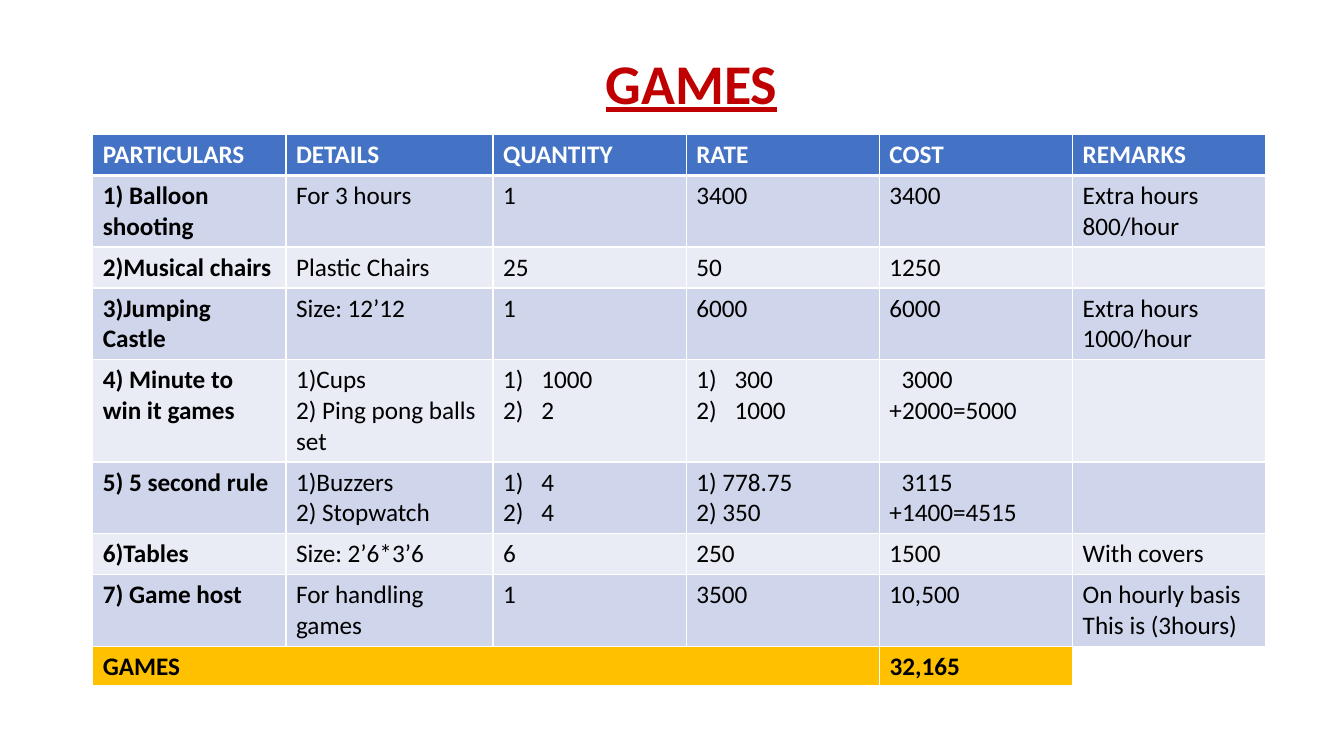
"""Build the GAMES budget slide: a title, a cost table and a total row."""
from dataclasses import dataclass

from pptx import Presentation
from pptx.dml.color import RGBColor
from pptx.enum.text import MSO_ANCHOR, PP_ALIGN
from pptx.oxml.ns import qn
from pptx.util import Emu, Inches, Pt
from lxml.etree import SubElement

RED = RGBColor(0xC0, 0x00, 0x00)
BLUE = RGBColor(0x44, 0x72, 0xC4)
BAND_DARK = RGBColor(0xCF, 0xD5, 0xEA)
BAND_LIGHT = RGBColor(0xE9, 0xEB, 0xF5)
GOLD = RGBColor(0xFF, 0xC0, 0x00)
WHITE = RGBColor(0xFF, 0xFF, 0xFF)
BLACK = RGBColor(0x00, 0x00, 0x00)

SLIDE_W, SLIDE_H = Inches(13.33), Inches(7.5)
LEFT, TOP = 6.9, 17.8
COL, DETAILS_COL = 14.38, 15.4
LINE, PAD = 4.07, 1.34


@dataclass(frozen=True)
class Cell:
    """Cell text, one paragraph a line, numbered or with its first line indented."""
    text: str = ""
    numbered: bool = False
    lead: float = 0


@dataclass(frozen=True)
class Row:
    """Table row: its cells and how many text lines it holds."""
    cells: tuple[Cell | str, ...]
    lines: int = 1

    @property
    def height(self) -> float:
        """Give the row height as a percentage of the slide height."""
        return PAD + LINE * self.lines


HEADER = Row(("PARTICULARS", "DETAILS", "QUANTITY", "RATE", "COST", "REMARKS"))
GAMES = (
    Row(("1) Balloon shooting", "For 3 hours", "1", "3400", "3400",
         "Extra hours 800/hour"), 2),
    Row(("2)Musical chairs", "Plastic Chairs", "25", "50", "1250", "")),
    Row(("3)Jumping Castle", "Size: 12’12", "1", "6000", "6000",
         "Extra hours\n1000/hour"), 2),
    Row(("4) Minute to win it games", "1)Cups\n2) Ping pong balls set",
         Cell("1000\n2", numbered=True), Cell("300\n1000", numbered=True),
         Cell("3000\n+2000=5000", lead=0.12), ""), 3),
    Row(("5) 5 second rule", "1)Buzzers\n2) Stopwatch", Cell("4\n4", numbered=True),
         "1) 778.75\n2) 350", Cell("3115\n+1400=4515", lead=0.12), ""), 2),
    Row(("6)Tables", "Size: 2’6*3’6", "6", "250", "1500", "With covers")),
    Row(("7) Game host", "For handling games", "1", "3500", "10,500",
         "On hourly basis\nThis is (3hours)"), 2),
)
COSTS = (HEADER, *GAMES)
TOTAL = Row(("GAMES", "32,165"))


def x(percent: float) -> Emu:
    """Turn a percentage of the slide width into a length."""
    return Emu(round(SLIDE_W * percent / 100))


def y(percent: float) -> Emu:
    """Turn a percentage of the slide height into a length."""
    return Emu(round(SLIDE_H * percent / 100))


def add_text(p, text: str, *, size: float = 18, color: RGBColor = BLACK,
             bold: bool = False, underline: bool = False) -> None:
    """Add one formatted run to a paragraph."""
    r = p.add_run()
    r.text = text
    r.font.name, r.font.size = "Calibri", Pt(size)
    r.font.bold, r.font.underline = bold, underline
    r.font.color.rgb = color


def set_indent(p, left: float, first: float) -> None:
    """Set the left margin and first-line indent in inches."""
    pPr = p._p.get_or_add_pPr()
    pPr.set("marL", str(Inches(left)))
    pPr.set("indent", str(Inches(first)))


def set_borders(cell, bottom: float) -> None:
    """Draw white cell borders, with the bottom one in its own width."""
    tcPr = cell._tc.get_or_add_tcPr()
    for side, width in (("L", 1), ("R", 1), ("T", 1), ("B", bottom)):
        ln = SubElement(tcPr, qn(f"a:ln{side}"), w=str(Pt(width)))
        SubElement(SubElement(ln, qn("a:solidFill")), qn("a:srgbClr"), val=str(WHITE))


def fill_cell(cell, content: Cell | str, *, fill: RGBColor, color: RGBColor,
              bold: bool, bottom: float) -> None:
    """Write and format one table cell."""
    content = Cell(content) if isinstance(content, str) else content
    set_borders(cell, bottom)
    cell.fill.solid()
    cell.fill.fore_color.rgb = fill
    tf = cell.text_frame
    for i, line in enumerate(content.text.split("\n")):
        p = tf.add_paragraph() if i else tf.paragraphs[0]
        if content.numbered:
            set_indent(p, 0.38, -0.38)
            SubElement(p._p.get_or_add_pPr(), qn("a:buAutoNum"), type="arabicParenR")
        elif content.lead and i == 0:
            set_indent(p, 0, content.lead)
        if line:
            add_text(p, line, color=color, bold=bold)
        else:
            p.font.size = Pt(18)


def add_grid(s, rows: tuple[Row, ...], widths: tuple[float, ...], top: float):
    """Add a table whose row heights follow their line counts."""
    table = s.shapes.add_table(len(rows), len(widths), x(LEFT), y(top), x(sum(widths)),
                               y(sum(row.height for row in rows))).table
    for column, width in zip(table.columns, widths):
        column.width = x(width)
    for table_row, row in zip(table.rows, rows):
        table_row.height = y(row.height)
    return table


def add_costs(s) -> None:
    """Add the banded cost table."""
    table = add_grid(s, COSTS, (COL, DETAILS_COL, *[COL] * 4), TOP)
    for i, row in enumerate(COSTS):
        head = i == 0
        fill = BLUE if head else BAND_DARK if i % 2 else BAND_LIGHT
        for j, content in enumerate(row.cells):
            fill_cell(table.cell(i, j), content, fill=fill,
                      color=WHITE if head else BLACK,
                      bold=head or j == 0, bottom=3 if head else 1)


def add_total(s) -> None:
    """Add the gold total row right below the cost table."""
    top = TOP + sum(row.height for row in COSTS)
    table = add_grid(s, (TOTAL,), (3 * COL + DETAILS_COL, COL), top)
    for j, content in enumerate(TOTAL.cells):
        fill_cell(table.cell(0, j), content, fill=GOLD, color=BLACK,
                  bold=True, bottom=3)


def add_title(s) -> None:
    """Place and format the title placeholder."""
    sp = s.shapes.title
    sp.left, sp.top, sp.width, sp.height = x(34.9), y(5.7), x(33.1), y(10.3)
    tf = sp.text_frame
    tf.vertical_anchor = MSO_ANCHOR.TOP
    p = tf.paragraphs[0]
    p.alignment = PP_ALIGN.CENTER
    add_text(p, "GAMES", size=40, color=RED, bold=True, underline=True)


def main() -> None:
    """Build and save the slide."""
    prs = Presentation()
    prs.slide_width, prs.slide_height = SLIDE_W, SLIDE_H
    s = prs.slides.add_slide(prs.slide_layouts[5])
    add_title(s)
    add_costs(s)
    add_total(s)
    prs.save("out.pptx")


main()
